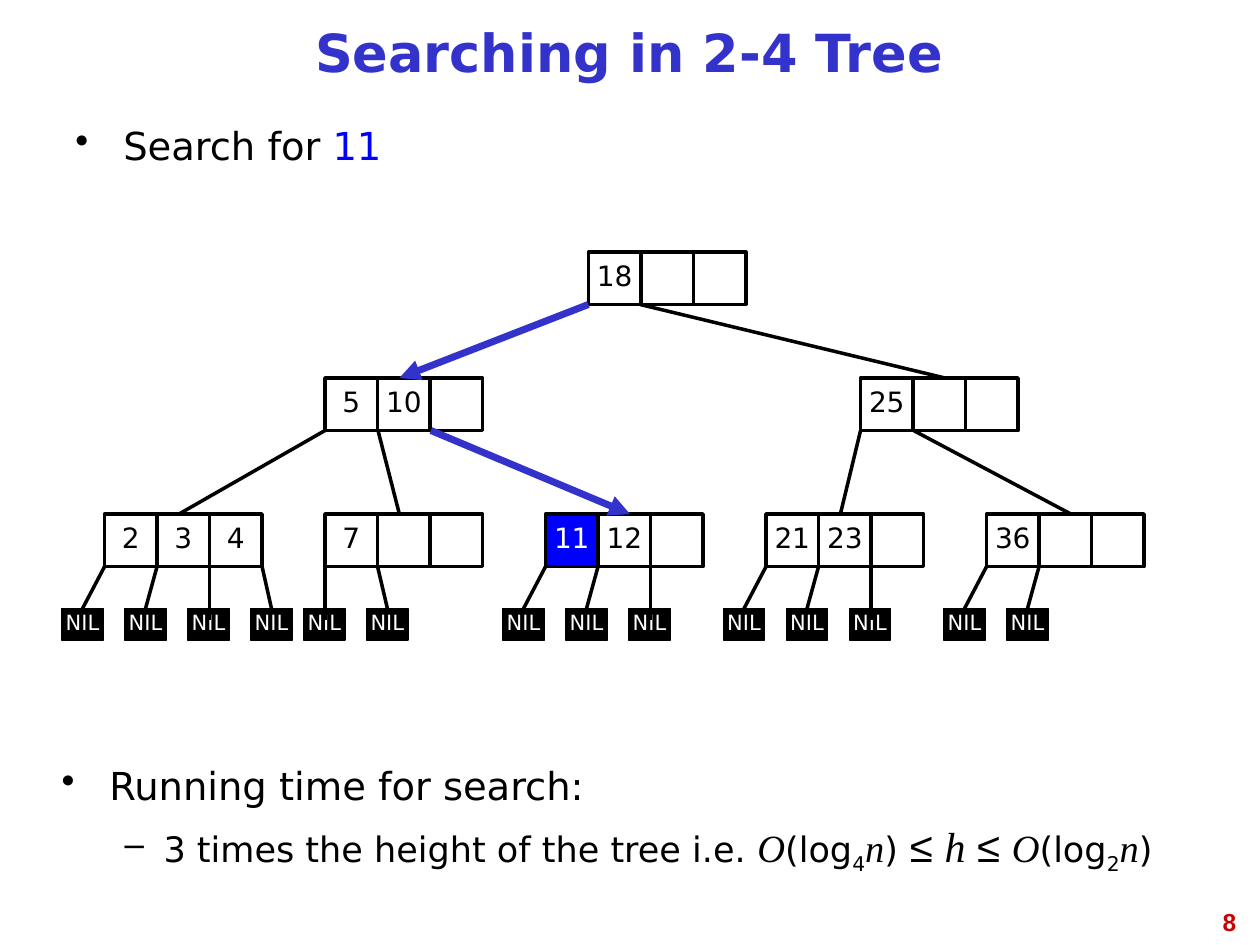
from lxml import etree
from pptx import Presentation
from pptx import util as u
from pptx.dml.color import RGBColor
from pptx.enum import shapes, text
from pptx.oxml.ns import qn

SANS, SERIF, ARIAL = "DejaVu Sans", "Times New Roman", "Arial"
BLACK, WHITE, BLUE, INDIGO, RED = "000000", "FFFFFF", "0000FF", "3333CC", "CC0000"
CELL = 5 / 12
ROOT, MID, LEAF, NIL = 2, 3, 4.08, 4.83
LEAVES = [
    (["2", "3", "4"], 4, -0.17),
    (["7", "", ""], 2, 0),
    (["11", "12", ""], 3, -0.17),
    (["21", "23", ""], 3, -0.17),
    (["36", "", ""], 2, -0.17),
]
EDGES = [
    (5.08, ROOT, 7.5, MID),
    (2.58, MID, 1.42, LEAF),
    (3, MID, 3.17, LEAF),
    (6.83, MID, 6.67, LEAF),
    (7.25, MID, 8.5, LEAF),
]
HITS = [(4.67, ROOT, 3.17, MID), (3.42, MID, 5, LEAF)]


def color(code):
    """Return the colour of a hex string."""
    return RGBColor.from_string(code)


def style(font, size, code, name=SANS, bold=False, italic=False):
    """Set the look of a font."""
    font.size, font.name = u.Pt(size), name
    font.bold, font.italic = bold, italic
    font.color.rgb = color(code)


def box(tree, x, y, w, h, label, size, fill=None, ink=BLACK, line=2):
    """Add a rectangle with a centred label."""
    rect = tree.add_shape(shapes.MSO_SHAPE.RECTANGLE, *map(u.Inches, (x, y, w, h)))
    rect.shadow.inherit = False
    if fill:
        rect.fill.solid()
        rect.fill.fore_color.rgb = color(fill)
    else:
        rect.fill.background()
    rect.line.color.rgb = color(BLACK)
    rect.line.width = u.Pt(line)
    if label:
        frame = rect.text_frame
        frame.text = label
        frame.word_wrap = False
        frame.vertical_anchor = text.MSO_ANCHOR.MIDDLE
        para = frame.paragraphs[0]
        para.alignment = text.PP_ALIGN.CENTER
        para.line_spacing = 0.81
        style(para.runs[0].font, size, ink)
    return rect


def node(slide, x, y, keys, found=None):
    """Add a tree node as a group of key cells."""
    group = slide.shapes.add_group_shape()
    for i, key in enumerate(keys):
        hit = key == found
        box(group.shapes, x + i * CELL, y, CELL, CELL, key, 16,
            BLUE if hit else None, WHITE if hit else BLACK)


def edge(slide, x1, y1, x2, y2, code=BLACK, width=2, arrow=False):
    """Add a straight line, with an arrowhead if asked."""
    line = slide.shapes.add_connector(
        shapes.MSO_CONNECTOR.STRAIGHT, *map(u.Inches, (x1, y1, x2, y2)))
    line.line.color.rgb = color(code)
    line.line.width = u.Pt(width)
    if arrow:
        etree.SubElement(line.line._get_or_add_ln(), qn("a:tailEnd"), type="triangle")
    etree.SubElement(line._element.spPr, qn("a:effectLst"))
    return line


def leaf(slide, x, keys, count, shift):
    """Add a leaf node with its NIL children."""
    node(slide, x, LEAF, keys, "11")
    for i in range(count):
        start, end = x + i * CELL, x + shift + i * 0.5
        nil = box(slide.shapes, end - 0.17, NIL, 0.33, 0.25, "NIL", 12, BLACK, WHITE, 0.75)
        if abs(start - end) < 0.02:
            edge(slide, start, LEAF + CELL, start, NIL + 0.09)
        else:
            edge(slide, start, LEAF + CELL, end, NIL).end_connect(nil, 0)


def area(slide, x, y, w, h):
    """Add a wrapping text box and return its frame."""
    frame = slide.shapes.add_textbox(*map(u.Inches, (x, y, w, h))).text_frame
    frame.word_wrap = True
    return frame


def bullet(para, mark, left, hang, runs):
    """Fill a bulleted paragraph with styled runs."""
    para.alignment = text.PP_ALIGN.JUSTIFY
    props = para._p.get_or_add_pPr()
    props.set("marL", str(u.Inches(left)))
    props.set("indent", str(-u.Inches(hang)))
    tint = etree.SubElement(props, qn("a:buClr"))
    etree.SubElement(tint, qn("a:srgbClr"), val=BLACK)
    etree.SubElement(props, qn("a:buChar"), char=mark)
    for words, size, code, name in runs:
        run = para.add_run()
        run.text = words
        style(run.font, size, code, name, italic=name == SERIF)


def bound(base):
    """Return the runs of O(log n) with the given base."""
    return [("O", 22, BLACK, SERIF), ("(log", 20, BLACK, SANS), (base, 20, BLACK, SANS),
            ("n", 22, BLACK, SERIF), (")", 20, BLACK, SANS)]


def head(slide):
    """Set the title and the slide number."""
    title = slide.shapes.title
    title.left, title.top, title.width, title.height = map(u.Inches, (0.5, 0.08, 8.99, 0.75))
    frame = title.text_frame
    frame.text = "Searching in 2-4 Tree"
    frame.vertical_anchor = text.MSO_ANCHOR.MIDDLE
    para = frame.paragraphs[0]
    para.alignment = text.PP_ALIGN.CENTER
    para.line_spacing = 0.81
    style(para.runs[0].font, 30, INDIGO, bold=True)
    para = area(slide, 7.58, 7.15, 2.33, 0.52).paragraphs[0]
    para.text = "8"
    para.alignment = text.PP_ALIGN.RIGHT
    style(para.runs[0].font, 14, RED, ARIAL, bold=True)


def notes(slide):
    """Add the bulleted text above and below the tree."""
    task = area(slide, 0.5, 0.92, 8.99, 0.58)
    bullet(task.paragraphs[0], "•", 0.38, 0.38,
           [("Search for ", 22, BLACK, SANS), ("11", 22, BLUE, SANS)])
    time = area(slide, 0.39, 6, 9.16, 1.08)
    bullet(time.paragraphs[0], "•", 0.38, 0.38,
           [("Running time for search:", 22, BLACK, SANS)])
    para = time.add_paragraph()
    para.level = 1
    para.space_before = u.Pt(7)
    bullet(para, "–", 0.81, 0.31, [
        ("3 times the height of the tree i.e. ", 20, BLACK, SANS), *bound("4"),
        (" ≤ ", 24, BLACK, ARIAL), ("h", 24, BLACK, SERIF), (" ≤ ", 24, BLACK, ARIAL),
        *bound("2")])
    for run in para.runs:
        if run.text in ("4", "2"):
            run.font._element.set("baseline", "-25000")


def main():
    """Build the slide and save it."""
    deck = Presentation()
    deck.slide_width, deck.slide_height = u.Inches(10), u.Inches(7.5)
    slide = deck.slides.add_slide(deck.slide_layouts[5])
    head(slide)
    notes(slide)
    node(slide, 4.67, ROOT, ["18", "", ""])
    node(slide, 2.58, MID, ["5", "10", ""])
    node(slide, 6.83, MID, ["25", "", ""])
    for i, (keys, count, shift) in enumerate(LEAVES):
        leaf(slide, 0.83 + i * 1.75, keys, count, shift)
    for x1, y1, x2, y2 in EDGES:
        edge(slide, x1, y1 + CELL, x2, y2)
    for x1, y1, x2, y2 in HITS:
        edge(slide, x1, y1 + CELL, x2, y2, INDIGO, 4, True)
    deck.save("out.pptx")


if __name__ == "__main__":
    main()
